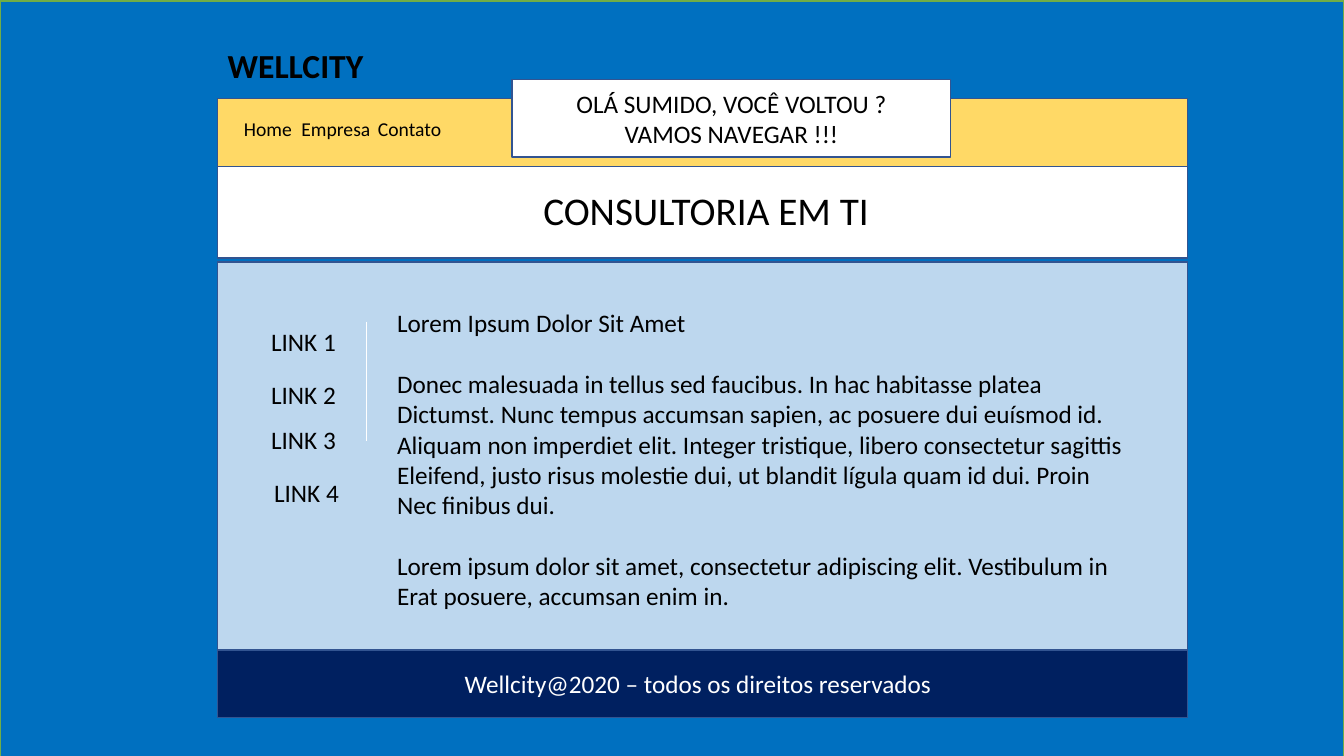
from lxml.etree import SubElement
from pptx import Presentation
from pptx.dml.color import RGBColor
from pptx.enum.shapes import MSO_CONNECTOR as CONNECTOR, MSO_SHAPE as SHAPE
from pptx.enum.text import MSO_ANCHOR as ANCHOR, PP_ALIGN as ALIGN
from pptx.oxml.ns import qn
from pptx.util import Inches, Pt

FONT = "Calibri"
LINE_HEIGHT = 22
COLORS = {
    "page": "0070C0", "page_edge": "70AD47", "edge": "325491",
    "content": "BDD7EE", "white": "FFFFFF", "menu": "FFD966",
    "footer": "002060", "black": "000000",
}

PAGE_LEFT, PAGE_WIDTH = 2.16, 9.62
BANDS = [
    ("content", 2.6, 3.88),
    ("white", 1.65, 0.91),
    ("menu", 0.98, 0.67),
    ("footer", 6.45, 0.67),
]

BRAND = "WELLCITY"
TITLE = "CONSULTORIA EM TI"
MENU = ["Home", "Empresa", "Contato"]
MENU_STOPS = [0.57, 1.33]
LINKS = [("LINK 1", 2.59, 3.19), ("LINK 2", 2.59, 3.71),
         ("LINK 3", 2.59, 4.16), ("LINK 4", 2.62, 4.69)]
ARTICLE = [
    ["Lorem Ipsum Dolor Sit Amet"],
    ["Donec malesuada in tellus sed faucibus. In hac habitasse platea",
     "Dictumst. Nunc tempus accumsan sapien, ac posuere dui euísmod id.",
     "Aliquam non imperdiet elit. Integer tristique, libero consectetur sagittis",
     "Eleifend, justo risus molestie dui, ut blandit lígula quam id dui. Proin",
     "Nec finibus dui."],
    ["Lorem ipsum dolor sit amet, consectetur adipiscing elit. Vestibulum in",
     "Erat posuere, accumsan enim in."],
]
FOOTER = "Wellcity@2020 – todos os direitos reservados"
GREETING = ["OLÁ SUMIDO, VOCÊ VOLTOU ?", "VAMOS NAVEGAR !!!"]

presentation = Presentation()
presentation.slide_width = Inches(13.33)
presentation.slide_height = Inches(7.5)
slide = presentation.slides.add_slide(presentation.slide_layouts[6])


def color(name):
    return RGBColor.from_string(COLORS[name])


def add_box(left, top, width, height, fill, edge="edge"):
    shape = slide.shapes.add_shape(
        SHAPE.RECTANGLE, Inches(left), Inches(top), Inches(width), Inches(height))
    shape.shadow.inherit = False
    shape.fill.solid()
    shape.fill.fore_color.rgb = color(fill)
    shape.line.color.rgb = color(edge)
    shape.line.width = Pt(1)
    return shape


def write(shape, blocks, size=18, ink="black", bold=False, align=ALIGN.LEFT):
    frame = shape.text_frame
    frame.word_wrap = True
    paragraph = None
    for block_index, block in enumerate(blocks):
        for line_index, line in enumerate(block):
            paragraph = frame.add_paragraph() if paragraph else frame.paragraphs[0]
            paragraph.alignment = align
            if block_index and not line_index:
                paragraph.space_before = Pt(LINE_HEIGHT)
            run = paragraph.add_run()
            run.text = line
            run.font.name = FONT
            run.font.size = Pt(size)
            run.font.bold = bold
            run.font.color.rgb = color(ink)


def add_text(left, top, width, height, blocks, **style):
    shape = slide.shapes.add_textbox(
        Inches(left), Inches(top), Inches(width), Inches(height))
    write(shape, blocks, **style)
    return shape


add_box(0, 0.01, 13.33, 7.5, "page", "page_edge")
for fill, top, height in BANDS:
    add_box(PAGE_LEFT, top, PAGE_WIDTH, height, fill)

add_text(PAGE_LEFT, 0.4, 1.68, 0.5, [[BRAND]], size=24, bold=True)
add_text(5.29, 1.8, 3.81, 0.57, [[TITLE]], size=28)

menu = add_text(2.32, 1.11, 2.19, 0.34, [["\t".join(MENU)]], size=14)
properties = menu.text_frame.paragraphs[0]._p.get_or_add_pPr()
tab_list = SubElement(properties, qn("a:tabLst"))
for stop in MENU_STOPS:
    SubElement(tab_list, qn("a:tab"), pos=str(Inches(stop)), algn="l")

for label, left, top in LINKS:
    add_text(left, top, 1.58, 0.4, [[label]])

divider = slide.shapes.add_connector(
    CONNECTOR.STRAIGHT, Inches(3.63), Inches(3.19), Inches(3.63), Inches(4.38))
divider.line.color.rgb = color("white")
divider.line.width = Pt(0.5)
SubElement(divider._element.spPr, qn("a:effectLst"))

add_text(3.84, 3, 7.56, 3.13, ARTICLE)
add_text(4.51, 6.58, 4.91, 0.4, [[FOOTER]], ink="white")

greeting = add_box(5.08, 0.79, 4.35, 0.77, "white")
greeting.text_frame.vertical_anchor = ANCHOR.MIDDLE
write(greeting, [GREETING], align=ALIGN.CENTER)

presentation.save("out.pptx")
